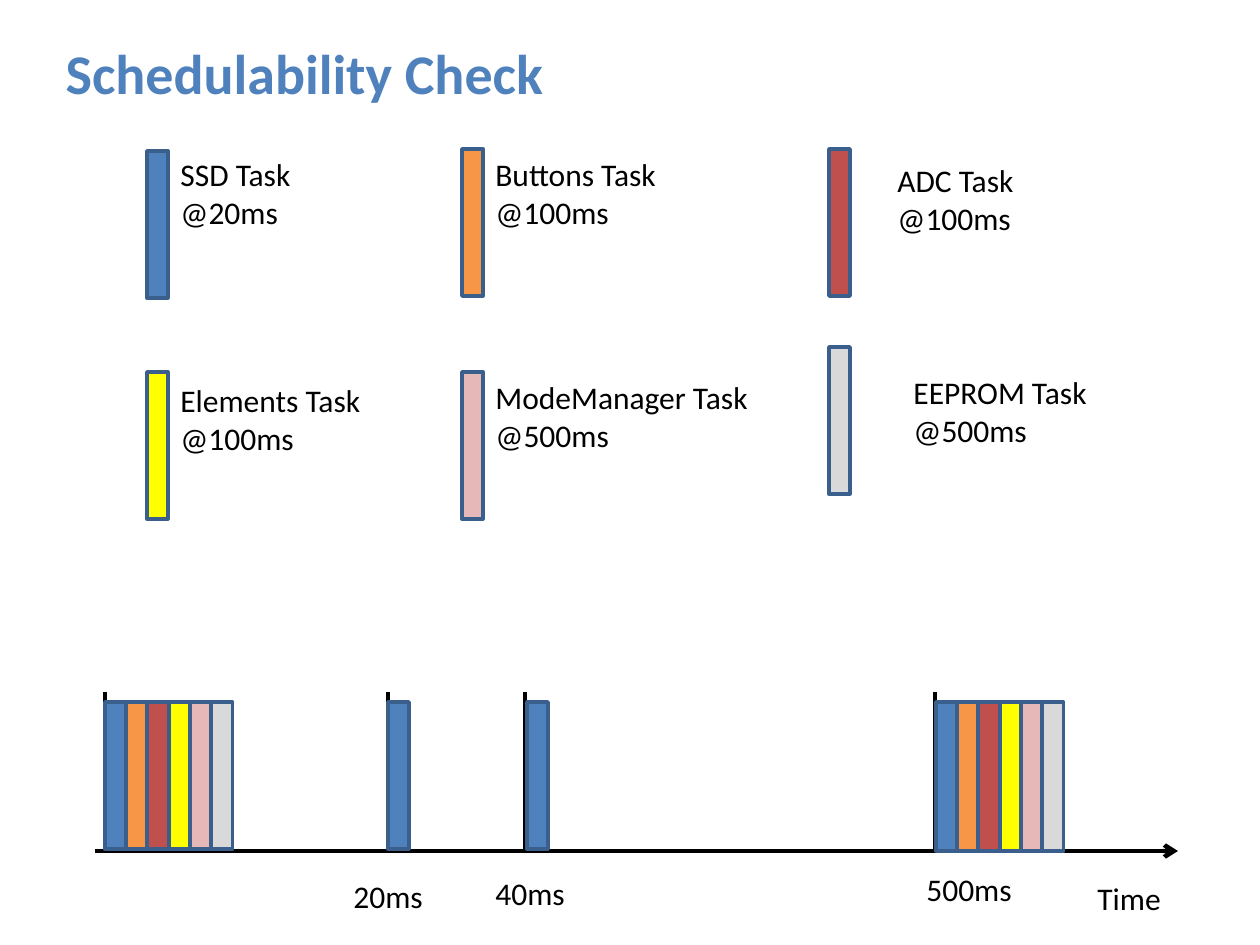
from lxml import etree
from pptx import Presentation, util as u
from pptx.dml.color import RGBColor
from pptx.enum import shapes, text
from pptx.oxml.ns import qn

PX = 914400 / 126
FONT = "Calibri"
COLORS = {
    "title": "4F81BD", "text": "000000", "axis": "000000", "outline": "3A5F8C",
    "SSD": "4F81BD", "Buttons": "F79646", "ADC": "C0504D",
    "Elements": "FFFF00", "ModeManager": "E6B9B8", "EEPROM": "D9D9D9",
}
TASKS = ["SSD", "Buttons", "ADC", "Elements", "ModeManager", "EEPROM"]
BAR_WIDTH, BAR_HEIGHT = 21, 147
BAR_STEP = 21.3
BAR_TOP, TICK_TOP, TICK_HEIGHT, AXIS_Y = 702, 692, 157, 851

# task, period, bar (left, top), label (left, top, width)
LEGEND = [
    ("SSD", "20ms", (147, 151), (168, 149, 194)),
    ("Buttons", "100ms", (462, 149), (483, 149, 252)),
    ("ADC", "100ms", (829, 149), (885, 155, 144)),
    ("Elements", "100ms", (147, 372), (168, 375, 215)),
    ("ModeManager", "500ms", (462, 372), (483, 372, 294)),
    ("EEPROM", "500ms", (829, 347), (901, 367, 231)),
]
# tick x, first bar x, bar height, tasks released
RELEASES = [
    (105, 105, 147, TASKS),
    (388, 388, 147, TASKS[:1]),
    (525, 527, 147, TASKS[:1]),
    (935, 936, 149, TASKS),
]
AXIS_LABELS = [
    ("Time", 1085, 873, 96), ("20ms", 341, 871, 96),
    ("40ms", 483, 868, 96), ("500ms", 914, 864, 134),
]


def px(value):
    return u.Emu(round(value * PX))


def rgb(name):
    return RGBColor.from_string(COLORS[name])


def write(frame, words, size, color, bold=False):
    frame.word_wrap = True
    frame.vertical_anchor = text.MSO_ANCHOR.TOP
    paragraph = frame.paragraphs[0]
    paragraph.alignment = text.PP_ALIGN.LEFT
    run = paragraph.add_run()
    run.text = words
    run.font.name = FONT
    run.font.size = u.Pt(size)
    run.font.bold = bold
    run.font.color.rgb = rgb(color)


def add_title(slide, words):
    title = slide.shapes.title
    title.left, title.top, title.width, title.height = map(px, (53, 32, 620, 81))
    write(title.text_frame, words, 32, "title", bold=True)
    title.text_frame.auto_size = text.MSO_AUTO_SIZE.NONE


def add_label(slide, words, left, top, width, height):
    label = slide.shapes.add_textbox(*map(px, (left, top, width, height)))
    write(label.text_frame, words, 18, "text")


def add_bar(slide, task, left, top, height=BAR_HEIGHT):
    bar = slide.shapes.add_shape(
        shapes.MSO_SHAPE.RECTANGLE, *map(px, (left, top, BAR_WIDTH, height)))
    bar.shadow.inherit = False
    bar.fill.solid()
    bar.fill.fore_color.rgb = rgb(task)
    bar.line.color.rgb = rgb("outline")
    bar.line.width = u.Pt(2)


def add_line(slide, start, end, width, arrow=False):
    line = slide.shapes.add_connector(
        shapes.MSO_CONNECTOR.STRAIGHT, *map(px, start + end))
    line.line.color.rgb = rgb("axis")
    line.line.width = u.Pt(width)
    if arrow:
        etree.SubElement(line.line._get_or_add_ln(), qn("a:tailEnd"), type="arrow")
    etree.SubElement(line._element.spPr, qn("a:effectLst"))


def add_release(slide, tick, first_bar, height, tasks):
    """Mark a release time and stack its tasks side by side after it."""
    add_line(slide, (tick, TICK_TOP), (tick, TICK_TOP + TICK_HEIGHT), 1.75)
    for i, task in enumerate(tasks):
        add_bar(slide, task, first_bar + i * BAR_STEP, BAR_TOP, height)


def main():
    prs = Presentation()
    prs.slide_width, prs.slide_height = u.Inches(10), u.Inches(7.5)
    slide = prs.slides.add_slide(prs.slide_layouts[5])
    add_title(slide, "Schedulability Check")
    for task, period, bar, label in LEGEND:
        add_bar(slide, task, *bar)
        add_label(slide, f"{task} Task @{period}", *label, 89)
    add_line(slide, (95, AXIS_Y), (1178, AXIS_Y), 2.5, arrow=True)
    for release in RELEASES:
        add_release(slide, *release)
    for label in AXIS_LABELS:
        add_label(slide, *label, 50)
    prs.save("out.pptx")


if __name__ == "__main__":
    main()
